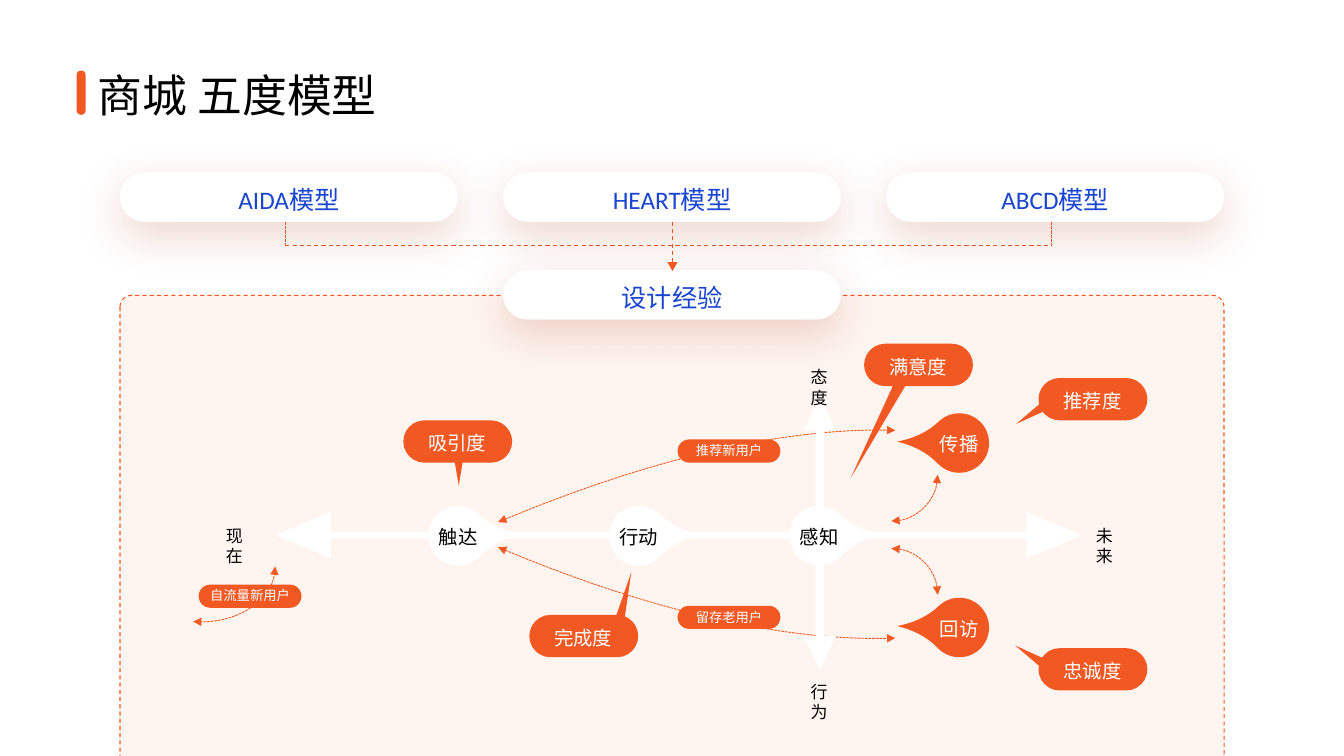
"""Build the five-degree model slide."""
import pptx
import lxml.etree
import pptx.util
import pptx.dml.color
import pptx.enum.dml
import pptx.enum.shapes
import pptx.enum.text
import pptx.oxml.ns

Inches = pptx.util.Inches
Pt = pptx.util.Pt
qn = pptx.oxml.ns.qn
FORM = pptx.enum.shapes.MSO_SHAPE
DASH = pptx.enum.dml.MSO_LINE
ALIGN = pptx.enum.text.PP_ALIGN
FIT = pptx.enum.text.MSO_AUTO_SIZE
TINT = {"orange": "F25822", "peach": "FCDED3", "white": "FFFFFF",
        "black": "000000", "blue": "1A45D1", "shade": "AE340A"}


def hue(name):
    return pptx.dml.color.RGBColor.from_string(TINT[name])


def node(parent, tag, **attrs):
    return lxml.etree.SubElement(parent, qn(tag), **attrs)


def paint(shape, fill=None):
    shape.shadow.inherit = False
    shape.line.fill.background()
    if fill:
        shape.fill.solid()
        shape.fill.fore_color.rgb = hue(fill)
    else:
        shape.fill.background()


def stroke(item, width, dash, heads=False):
    item.line.color.rgb = hue("orange")
    item.line.width = Pt(width)
    item.line.dash_style = dash
    if heads:
        for tag in ("a:headEnd", "a:tailEnd"):
            node(item.line._get_or_add_ln(), tag, type="triangle")


def form(slide, kind, box, fill=None, adj=(), turn=0, flip=None):
    shape = slide.shapes.add_shape(kind, *map(Inches, box))
    paint(shape, fill)
    for i, value in enumerate(adj):
        shape.adjustments[i] = value
    shape.rotation = turn
    if flip:
        shape.element.spPr.get_or_add_xfrm().set(flip, "1")
    return shape


def write(frame, text, size, color, align):
    para = frame.paragraphs[0]
    para.alignment = align
    run = para.add_run()
    run.text = text
    run.font.size = Pt(size)
    run.font.name = "Calibri"
    run.font.color.rgb = hue(color)


def label(slide, text, box, size, color, pad=0.08, wrap=True, align=ALIGN.CENTER):
    frame = slide.shapes.add_textbox(*map(Inches, box)).text_frame
    frame.margin_left = frame.margin_right = Inches(pad)
    frame.margin_top = frame.margin_bottom = Inches(0.04)
    frame.word_wrap = wrap
    frame.auto_size = FIT.SHAPE_TO_FIT_TEXT
    write(frame, text, size, color, align)


def head(slide, text):
    title = slide.shapes.title
    title.left, title.top, title.width, title.height = map(Inches, (0.87, 0.62, 3.27, 0.64))
    frame = title.text_frame
    frame.word_wrap = False
    frame.auto_size = FIT.NONE
    frame.vertical_anchor = pptx.enum.text.MSO_ANCHOR.TOP
    write(frame, text, 32, "black", ALIGN.LEFT)
    form(slide, FORM.ROUNDED_RECTANGLE, (0.76, 0.7, 0.09, 0.44), "orange", [0.5])


def panel(slide):
    shape = form(slide, FORM.ROUNDED_RECTANGLE, (1.19, 2.93, 10.95, 5.65), "peach", [0.02])
    node(next(shape.element.spPr.iter(qn("a:srgbClr"))), "a:alpha", val="30000")
    stroke(shape, 0.75, DASH.DASH)


def trace(slide, points, close):
    spots = [tuple(map(Inches, point)) for point in points]
    maker = slide.shapes.build_freeform(*spots[0], scale=1.0)
    maker.add_line_segments(spots[1:], close=close)
    return maker.convert_to_shape()


def curve(slide, start, bend, end):
    shape = trace(slide, [start, start, bend, end], False)
    paint(shape)
    stroke(shape, 0.65, DASH.SQUARE_DOT, True)
    track = next(shape.element.iter(qn("a:path")))
    legs = track.findall(qn("a:lnTo"))
    bow = node(track, "a:cubicBezTo")
    for leg in legs:
        bow.append(leg[0])
        track.remove(leg)


def axis(slide, mid, half, tip, wide, thin, upright=False):
    neck = half - tip
    side = [(-half, 0), (-neck, -wide), (-neck, -thin),
            (neck, -thin), (neck, -wide), (half, 0)]
    ring = side + [(x, -y) for x, y in side[-2:0:-1]]
    if upright:
        ring = [(y, x) for x, y in ring]
    paint(trace(slide, [(mid[0] + x, mid[1] + y) for x, y in ring], True), "white")


def arc(slide, box, start, flip=None):
    shape = form(slide, FORM.ARC, box, adj=[start, 0], flip=flip)
    stroke(shape, 0.65, DASH.SQUARE_DOT, True)


def drop(slide, text, x, y, fill, ink, turn, flip=None):
    form(slide, FORM.TEAR, (x, y, 0.59, 0.59), fill, [1.481], turn, flip)
    label(slide, text, (x + 0.01, y + 0.15, 0.57, 0.31), 13.8, ink)


def bubble(slide, text, x, y, tail, turn=0, flip=None):
    form(slide, FORM.ISOSCELES_TRIANGLE, tail, "orange", turn=turn, flip=flip)
    form(slide, FORM.ROUNDED_RECTANGLE, (x, y, 1.08, 0.42), "orange", [0.5])
    label(slide, text, (x + 0.1, y + 0.07, 0.87, 0.31), 13.8, "white")


def tag(slide, text, x, y):
    form(slide, FORM.ROUNDED_RECTANGLE, (x, y, 1.02, 0.23), "orange", [0.5])
    label(slide, text, (x, y - 0.01, 1.02, 0.25), 9.5, "white", 0.09, False)


def link(slide, x1, y1, x2, y2, dash):
    line = slide.shapes.add_connector(pptx.enum.shapes.MSO_CONNECTOR.STRAIGHT,
                                      *map(Inches, (x1, y1, x2, y2)))
    stroke(line, 0.75, dash)
    node(line.element.spPr, "a:effectLst")


def pill(slide, text, x, y):
    shape = form(slide, FORM.ROUNDED_RECTANGLE, (x, y, 3.35, 0.49), "white", [0.5])
    glow = node(shape.element.spPr.find(qn("a:effectLst")), "a:outerShdw",
                blurRad=str(Pt(32)), dist=str(Pt(10)), dir="5400000",
                algn="t", rotWithShape="0")
    tone = node(glow, "a:srgbClr", val=TINT["shade"])
    node(tone, "a:alpha", val="20000")
    label(slide, text, (x + 0.33, y + 0.08, 2.69, 0.38), 18, "blue", 0.07)


def main():
    deck = pptx.Presentation()
    deck.slide_width, deck.slide_height = Inches(13.33), Inches(7.5)
    slide = deck.slides.add_slide(deck.slide_layouts[5])
    panel(slide)
    head(slide, "商城 五度模型")

    curve(slide, (4.94, 5.18), (7.24, 4.21), (8.88, 4.27))
    curve(slide, (4.94, 5.43), (7.24, 6.4), (8.88, 6.33))
    axis(slide, (8.13, 5.29), 1.355, 0.335, 0.16, 0.04, True)
    axis(slide, (6.73, 5.31), 4, 0.55, 0.23, 0.035)
    arc(slide, (1.27, 5.07, 1.46, 1.1), 156.721, "flipV")
    arc(slide, (8.38, 4.25, 0.92, 0.92), 162, "flipV")
    arc(slide, (8.38, 5.44, 0.92, 0.92), 162)

    for text, x in (("触达", 4.25), ("行动", 6.04), ("感知", 7.83)):
        drop(slide, text, x, 5.02, "white", "black", 43.7)
    for text, y in (("回访", 5.93), ("传播", 4.1)):
        drop(slide, text, 9.22, y, "orange", "white", 316.3, "flipH")

    bubble(slide, "完成度", 5.25, 6.1, (6.15, 5.67, 0.1, 0.52), 13.7)
    bubble(slide, "吸引度", 4, 4.17, (4.5, 4.52, 0.1, 0.3), flip="flipV")
    bubble(slide, "忠诚度", 10.3, 6.43, (10.17, 6.32, 0.1, 0.36), 302.4)
    bubble(slide, "推荐度", 10.3, 3.75, (10.18, 3.93, 0.1, 0.36), 57.6, "flipV")
    bubble(slide, "满意度", 8.57, 3.41, (8.64, 3.67, 0.12, 1.14), 27.6, "flipV")

    tag(slide, "自流量新用户", 1.97, 5.8)
    tag(slide, "留存老用户", 6.72, 6.01)
    tag(slide, "推荐新用户", 6.72, 4.36)
    for text, x, y, align in (("态度", 7.87, 3.6, ALIGN.CENTER),
                              ("行为", 7.87, 6.72, ALIGN.CENTER),
                              ("现在", 2.15, 5.17, ALIGN.LEFT),
                              ("未来", 10.78, 5.17, ALIGN.LEFT)):
        label(slide, text, (x, y, 0.51, 0.29), 12.1, "black", 0.09, False, align)

    for x in (2.83, 10.43):
        link(slide, x, 2.44, x, 2.09, DASH.SQUARE_DOT)
    link(slide, 6.67, 2.6, 6.67, 2.17, DASH.DASH)
    link(slide, 2.83, 2.44, 10.42, 2.44, DASH.DASH)
    for i, name in enumerate(("AIDA", "HEART", "ABCD")):
        pill(slide, name + "模型", 1.19 + 3.8 * i, 1.71)
    pill(slide, "设计经验", 4.99, 2.68)
    form(slide, FORM.ISOSCELES_TRIANGLE, (6.62, 2.6, 0.1, 0.09), "orange", flip="flipV")
    deck.save("out.pptx")


if __name__ == "__main__":
    main()
